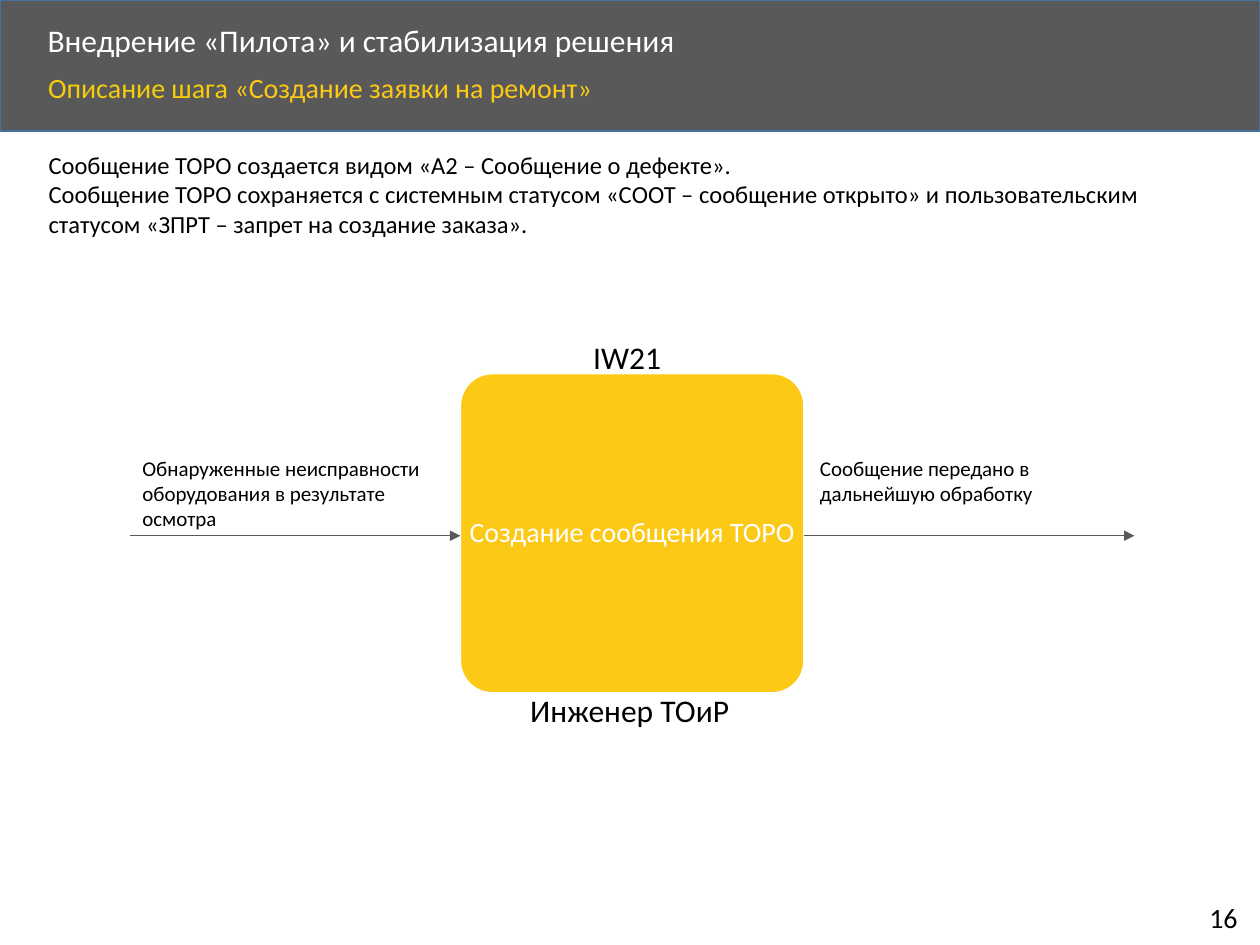
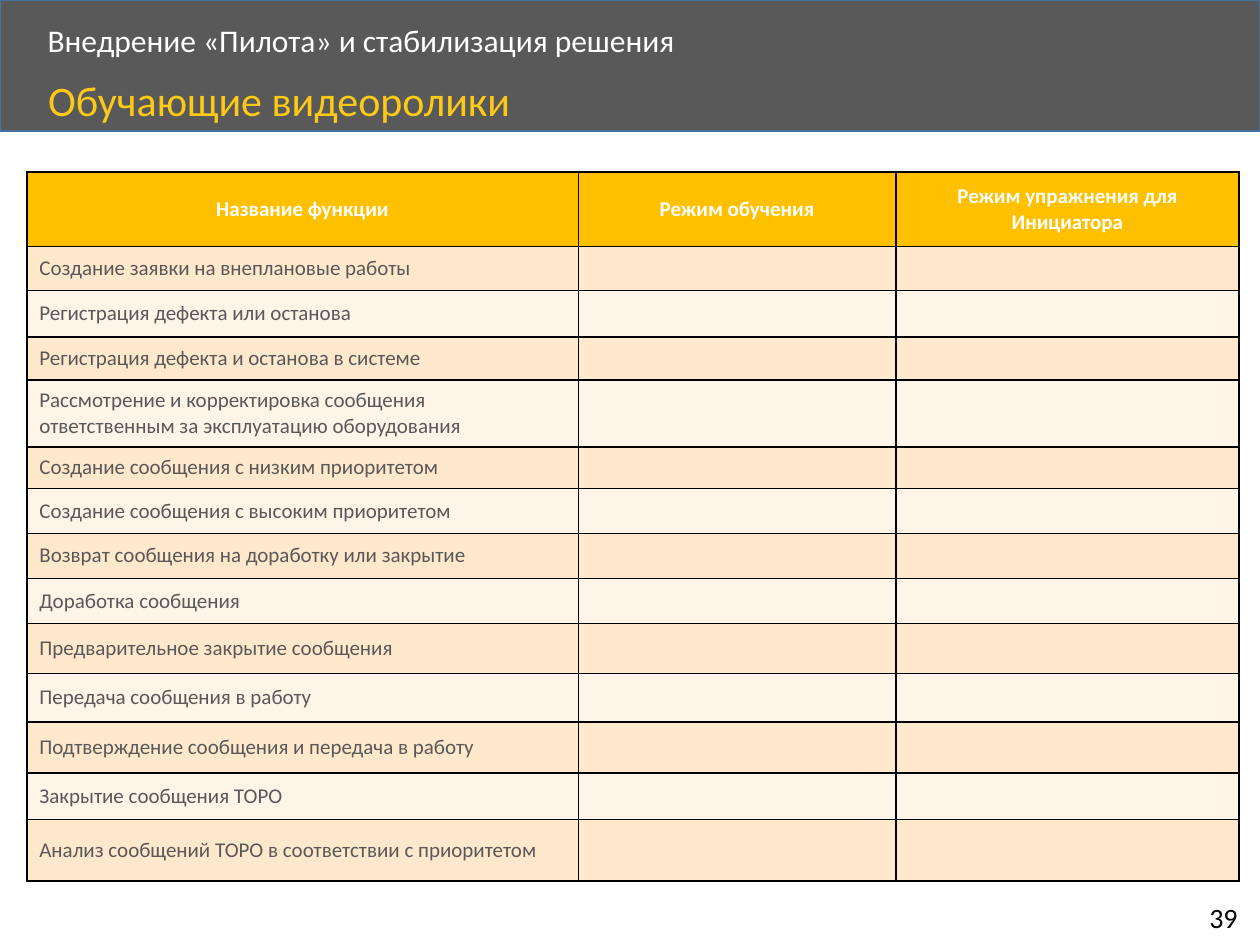
from dataclasses import dataclass

from lxml import etree
from pptx import Presentation
from pptx.dml.color import RGBColor
from pptx.enum.shapes import MSO_CONNECTOR, MSO_SHAPE
from pptx.enum.text import MSO_ANCHOR, PP_ALIGN
from pptx.oxml.ns import qn
from pptx.util import Cm, Pt

RECTANGLE = MSO_SHAPE.RECTANGLE
ROUNDED = MSO_SHAPE.ROUNDED_RECTANGLE
STRAIGHT = MSO_CONNECTOR.STRAIGHT
TOP, MIDDLE = MSO_ANCHOR.TOP, MSO_ANCHOR.MIDDLE
LEFT, CENTER = PP_ALIGN.LEFT, PP_ALIGN.CENTER


@dataclass(frozen=True)
class Theme:
    font: str = "Calibri"
    white: str = "FFFFFF"
    black: str = "000000"
    grey: str = "595959"
    band_edge: str = "43739E"
    yellow: str = "FCC917"
    lead_yellow: str = "F6CC0C"
    table_head: str = "FFC000"
    row_fills: tuple = ("FFE8CC", "FFF4E7")
    title: int = 18
    subtitle: int = 16
    large_subtitle: int = 24
    body: int = 14
    small: int = 12
    title_spacing: float = 0.9


THEME = Theme()
SLIDE_WIDTH, SLIDE_HEIGHT = 25.4, 19.05
SECTION = "Внедрение «Пилота» и стабилизация решения"

STATUS_NOTES = [
    "Сообщение ТОРО создается видом «A2 – Сообщение о дефекте».",
    "Сообщение ТОРО сохраняется с системным статусом «СООТ – сообщение открыто» "
    "и пользовательским статусом «ЗПРТ – запрет на создание заказа».",
]
VIDEO_COLUMNS = [
    ("Название функции", 11.12),
    ("Режим обучения", 6.4),
    ("Режим упражнения для Инициатора", 6.92),
]
HEAD_HEIGHT = 1.5
VIDEO_ROWS = [
    ("Создание заявки на внеплановые работы", 0.89),
    ("Регистрация дефекта или останова", 0.93),
    ("Регистрация дефекта и останова в системе", 0.87),
    ("Рассмотрение и корректировка сообщения ответственным "
     "за эксплуатацию оборудования", 1.35),
    ("Создание сообщения с низким приоритетом", 0.84),
    ("Создание сообщения с высоким приоритетом", 0.9),
    ("Возврат сообщения на доработку или закрытие", 0.91),
    ("Доработка сообщения", 0.91),
    ("Предварительное закрытие сообщения", 1.01),
    ("Передача сообщения в работу", 0.97),
    ("Подтверждение сообщения и передача в работу", 1.03),
    ("Закрытие сообщения ТОРО", 0.94),
    ("Анализ сообщений ТОРО в соответствии с приоритетом", 1.24),
]


def rgb(value):
    return RGBColor.from_string(value)


def style_run(run, size, color, bold=False):
    run.font.name = THEME.font
    run.font.size = Pt(size)
    run.font.bold = bold
    run.font.color.rgb = rgb(color)


def write(frame, lines, size, color, align=LEFT, bold=False, spacing=None):
    frame.text = "\n".join(lines)
    for paragraph in frame.paragraphs:
        paragraph.alignment = align
        if spacing:
            paragraph.line_spacing = spacing
        for run in paragraph.runs:
            style_run(run, size, color, bold)


def add_text(slide, box, lines, size, color=THEME.black, anchor=TOP,
             wrap=True, spacing=None):
    frame = slide.shapes.add_textbox(*map(Cm, box)).text_frame
    frame.word_wrap = wrap
    frame.vertical_anchor = anchor
    write(frame, lines, size, color, spacing=spacing)
    return frame


def add_block(slide, kind, box, fill, edge):
    block = slide.shapes.add_shape(kind, *map(Cm, box))
    block.shadow.inherit = False
    block.fill.solid()
    block.fill.fore_color.rgb = rgb(fill)
    block.line.color.rgb = rgb(edge)
    block.line.width = Pt(1)
    return block


def add_arrow(slide, start, end, level):
    arrow = slide.shapes.add_connector(
        STRAIGHT, Cm(start), Cm(level), Cm(end), Cm(level))
    arrow.line.color.rgb = rgb(THEME.grey)
    arrow.line.width = Pt(0.5)
    properties = arrow.line._get_or_add_ln()
    etree.SubElement(properties, qn("a:tailEnd"), type="triangle")
    etree.SubElement(arrow._element.spPr, qn("a:effectLst"))


def add_framed_slide(deck, page):
    slide = deck.slides.add_slide(deck.slide_layouts[6])
    add_block(slide, RECTANGLE, (0, 0, SLIDE_WIDTH, 2.64),
              THEME.grey, THEME.band_edge)
    add_text(slide, (0.71, 0.36, 20.5, 0.97), [SECTION], THEME.title,
             THEME.white, MIDDLE, spacing=THEME.title_spacing)
    add_text(slide, (24.13, 18.03, 1.17, 0.94), [str(page)],
             THEME.subtitle, wrap=False)
    return slide


def add_subtitle(slide, top, text, size, color):
    return add_text(slide, (0.72, top, 22, 1.14), [text], size, color,
                    spacing=THEME.title_spacing)


def border_cell(cell):
    properties = cell._tc.get_or_add_tcPr()
    for side in ("lnL", "lnR", "lnT", "lnB"):
        edge = etree.SubElement(properties, qn(f"a:{side}"), w=str(Pt(1)))
        fill = etree.SubElement(edge, qn("a:solidFill"))
        etree.SubElement(fill, qn("a:srgbClr"), val=THEME.black)


def fill_cell(cell, text, fill, color, align=LEFT, bold=False):
    border_cell(cell)
    cell.fill.solid()
    cell.fill.fore_color.rgb = rgb(fill)
    cell.vertical_anchor = MIDDLE
    write(cell.text_frame, [text], THEME.small, color, align, bold)
    if not text:
        etree.SubElement(cell.text_frame.paragraphs[0]._p,
                         qn("a:endParaRPr"), sz=str(THEME.small * 100))


def add_video_table(slide, left, top):
    widths = [width for _, width in VIDEO_COLUMNS]
    heights = [HEAD_HEIGHT] + [height for _, height in VIDEO_ROWS]
    table = slide.shapes.add_table(
        len(heights), len(widths), Cm(left), Cm(top),
        Cm(sum(widths)), Cm(sum(heights))).table
    for column, width in zip(table.columns, widths):
        column.width = Cm(width)
    for row, height in zip(table.rows, heights):
        row.height = Cm(height)
    for column, (heading, _) in enumerate(VIDEO_COLUMNS):
        fill_cell(table.cell(0, column), heading, THEME.table_head,
                  THEME.white, CENTER, True)
    for index, (function, _) in enumerate(VIDEO_ROWS):
        for column in range(len(widths)):
            fill_cell(table.cell(index + 1, column),
                      "" if column else function,
                      THEME.row_fills[index % 2], THEME.grey)


def build_request_step(deck):
    slide = add_framed_slide(deck, 16)
    subtitle = add_subtitle(slide, 1.37, "Описание шага ",
                            THEME.subtitle, THEME.lead_yellow)
    step_name = subtitle.paragraphs[0].add_run()
    step_name.text = "«Создание заявки на ремонт»"
    style_run(step_name, THEME.subtitle, THEME.yellow)

    step_left, step_width, flow_length, flow_level = 9.28, 6.93, 6.66, 10.8
    step_right = step_left + step_width
    step = add_block(slide, ROUNDED, (step_left, 7.53, step_width, 6.44),
                     THEME.yellow, THEME.white)
    step.adjustments[0] = 0.1
    step.text_frame.word_wrap = False
    step.text_frame.vertical_anchor = MIDDLE
    write(step.text_frame, ["Создание сообщения ТОРО"], THEME.subtitle,
          THEME.white, CENTER, spacing=THEME.title_spacing)
    add_arrow(slide, step_left - flow_length, step_left, flow_level)
    add_arrow(slide, step_right, step_right + flow_length, flow_level)

    add_text(slide, (10.44, 13.8, 4.62, 1.03), ["Инженер ТОиР"], THEME.title)
    add_text(slide, (11.71, 6.69, 1.9, 1.03), ["IW21"], THEME.title,
             wrap=False)
    add_text(slide, (2.62, 9.05, 6.5, 1.8),
             ["Обнаруженные неисправности оборудования в результате осмотра"],
             THEME.small)
    add_text(slide, (16.28, 9.05, 6.53, 1.28),
             ["Сообщение передано в дальнейшую обработку"], THEME.small)
    add_text(slide, (0.73, 2.9, 24.03, 2.06), STATUS_NOTES, THEME.body)


def build_training_videos(deck):
    slide = add_framed_slide(deck, 39)
    add_subtitle(slide, 1.5, "Обучающие видеоролики",
                 THEME.large_subtitle, THEME.yellow)
    add_video_table(slide, 0.54, 3.47)


def main():
    deck = Presentation()
    deck.slide_width, deck.slide_height = Cm(SLIDE_WIDTH), Cm(SLIDE_HEIGHT)
    build_request_step(deck)
    build_training_videos(deck)
    deck.save("out.pptx")


if __name__ == "__main__":
    main()
